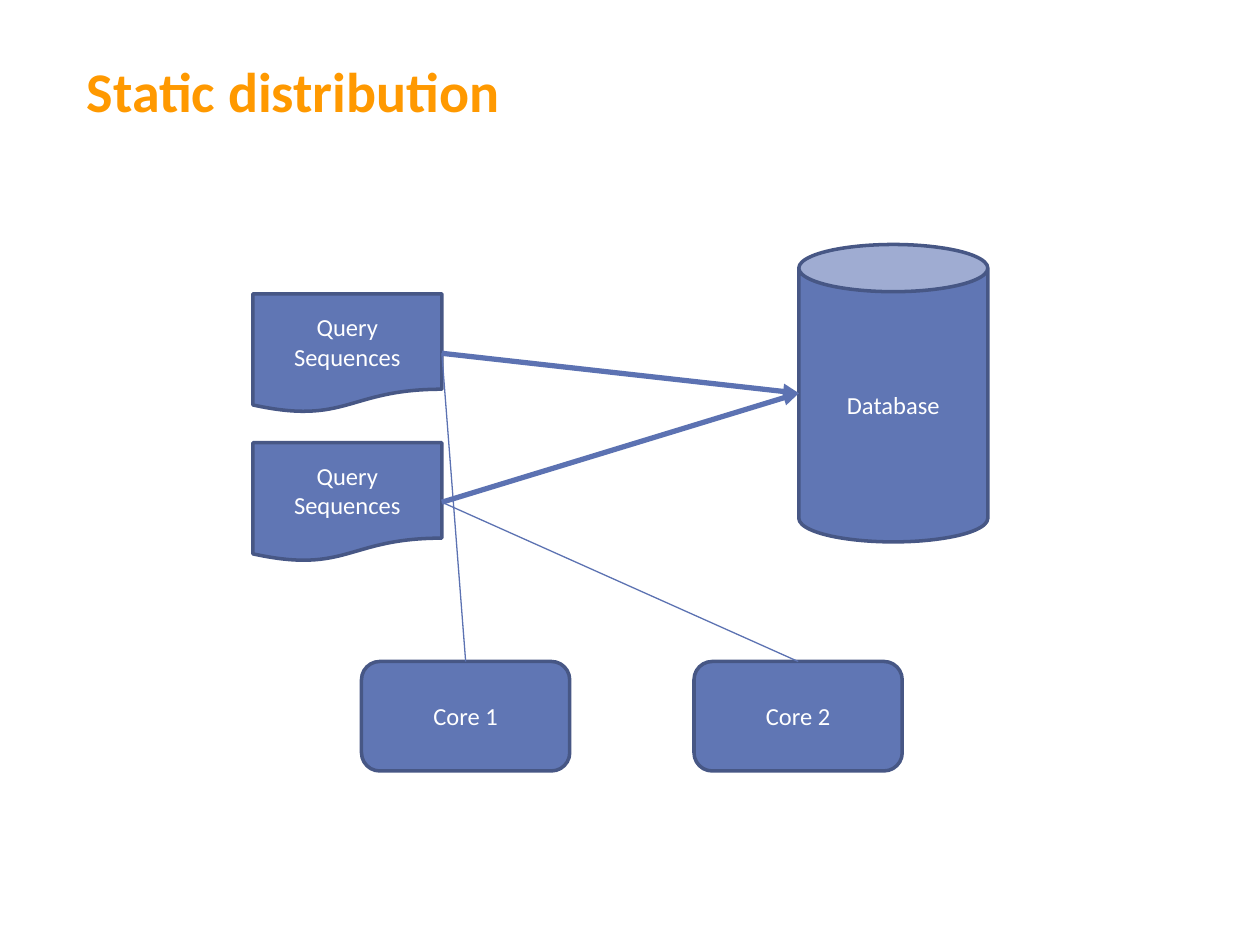
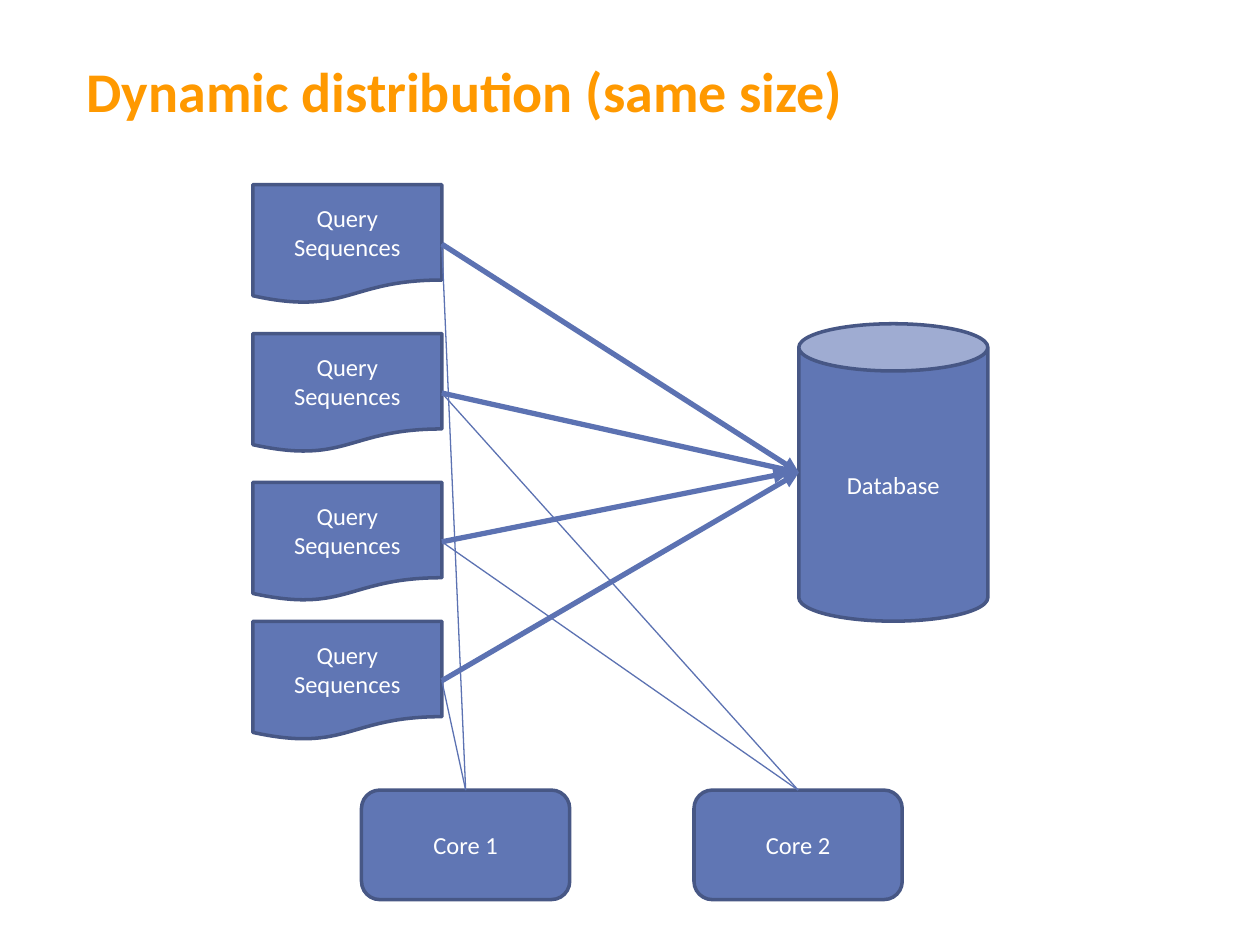
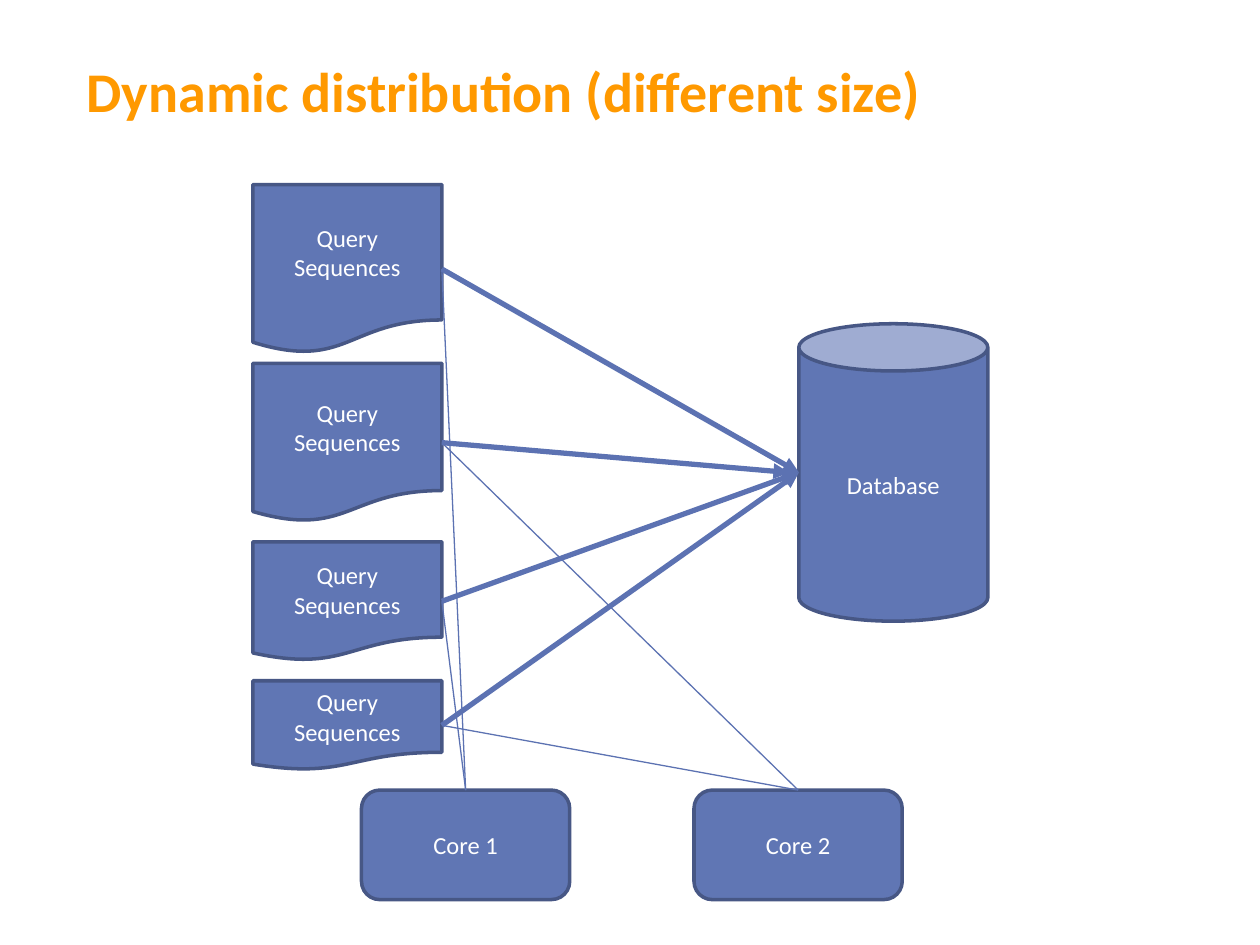
from dataclasses import dataclass

from lxml import etree
from pptx import Presentation
from pptx.dml.color import RGBColor
from pptx.enum.shapes import MSO_CONNECTOR, MSO_SHAPE
from pptx.enum.text import MSO_ANCHOR, PP_ALIGN
from pptx.oxml.ns import qn
from pptx.util import Pt

CAN = MSO_SHAPE.CAN
DOCUMENT = MSO_SHAPE.FLOWCHART_DOCUMENT
ROUNDED = MSO_SHAPE.ROUNDED_RECTANGLE
STRAIGHT = MSO_CONNECTOR.STRAIGHT
CENTER, LEFT = PP_ALIGN.CENTER, PP_ALIGN.LEFT
MIDDLE = MSO_ANCHOR.MIDDLE
TOP_SITE, RIGHT_SITE = 0, 3


@dataclass(frozen=True)
class Theme:
    font: str = "Calibri"
    title_color: RGBColor = RGBColor(0xFF, 0x99, 0x00)
    node_fill: RGBColor = RGBColor(0x60, 0x76, 0xB4)
    node_border: RGBColor = RGBColor(0x47, 0x57, 0x85)
    connector: RGBColor = RGBColor(0x5C, 0x72, 0xB2)
    node_text: RGBColor = RGBColor(0xFF, 0xFF, 0xFF)
    title_size: float = 32
    node_size: float = 14
    border_width: float = 2
    arrow_width: float = 3
    link_width: float = 0.75


class Deck:
    """Holds the theme and the slide being drawn; lengths are in points."""

    def __init__(self, theme):
        self.theme = theme
        self.presentation = Presentation()
        self.presentation.slide_width = Pt(720)
        self.presentation.slide_height = Pt(540)
        self.slide = None

    def new_slide(self, title):
        blank = self.presentation.slide_layouts[6]
        self.slide = self.presentation.slides.add_slide(blank)
        heading = self.slide.shapes.add_textbox(Pt(42.5), Pt(26), Pt(642), Pt(51))
        self.set_lines(heading.text_frame, [title], LEFT, {
            "size": Pt(self.theme.title_size), "bold": True}, self.theme.title_color)

    def set_lines(self, frame, lines, alignment, font_format, color):
        frame.word_wrap = True
        frame.vertical_anchor = MIDDLE
        for index, line in enumerate(lines):
            paragraph = frame.add_paragraph() if index else frame.paragraphs[0]
            paragraph.alignment = alignment
            run = paragraph.add_run()
            run.text = line
            for name, value in {"name": self.theme.font, **font_format}.items():
                setattr(run.font, name, value)
            run.font.color.rgb = color

    def node(self, kind, left, top, width, height, *lines):
        node = self.slide.shapes.add_shape(kind, Pt(left), Pt(top), Pt(width), Pt(height))
        node.shadow.inherit = False
        node.fill.solid()
        node.fill.fore_color.rgb = self.theme.node_fill
        node.line.color.rgb = self.theme.node_border
        node.line.width = Pt(self.theme.border_width)
        self.set_lines(node.text_frame, lines, CENTER,
                       {"size": Pt(self.theme.node_size)}, self.theme.node_text)
        return node

    def connector(self, source, end_x, end_y, width):
        """Start a straight line at the right side of source."""
        line = self.slide.shapes.add_connector(STRAIGHT, 0, 0, end_x, end_y)
        line.begin_connect(source, RIGHT_SITE)
        line.line.color.rgb = self.theme.connector
        line.line.width = Pt(width)
        etree.SubElement(line.element.spPr, qn("a:effectLst"))
        return line

    def arrow(self, source, target, gap):
        """Point at the left side of target, ending gap points before it."""
        arrow = self.connector(source, target.left - Pt(gap),
                               target.top + target.height // 2, self.theme.arrow_width)
        outline = arrow.element.spPr.find(qn("a:ln"))
        etree.SubElement(outline, qn("a:tailEnd"), type="triangle")

    def link(self, source, core):
        link = self.connector(source, core.left + core.width // 2, core.top,
                              self.theme.link_width)
        link.end_connect(core, TOP_SITE)

    def distribution(self, title, database_top, core_top, queries):
        """Draw queries given as (top, height, core index, gap before the database)."""
        self.new_slide(title)
        database = self.node(CAN, 456.5, database_top, 108, 170, "Database")
        cores = [self.node(ROUNDED, 206.6 + 190 * index, core_top, 119, 62.6,
                           f"Core {index + 1}") for index in range(2)]
        batches = [self.node(DOCUMENT, 144.5, top, 108, height, "Query", "Sequences")
                   for top, height, _, _ in queries]
        for batch, (_, _, core, gap) in zip(batches, queries):
            self.link(batch, cores[core])
            self.arrow(batch, database, gap)


def main():
    deck = Deck(Theme())
    deck.distribution("Static distribution", 139.7, 378, [
        (167.9, 68, 0, 0),
        (253, 68, 1, 0),
    ])
    deck.distribution("Dynamic distribution (same size)", 185, 451.5, [
        (105.5, 68, 0, 0),
        (190.6, 68, 1, 0),
        (275.6, 68, 1, 5.5),
        (355, 68, 0, 0),
    ])
    deck.distribution("Dynamic distribution (different size)", 185, 451.5, [
        (105.5, 96.5, 0, 0),
        (207.6, 90.7, 1, 5.5),
        (309.6, 68, 0, 0),
        (389, 51, 1, 0),
    ])
    deck.presentation.save("out.pptx")


if __name__ == "__main__":
    main()
